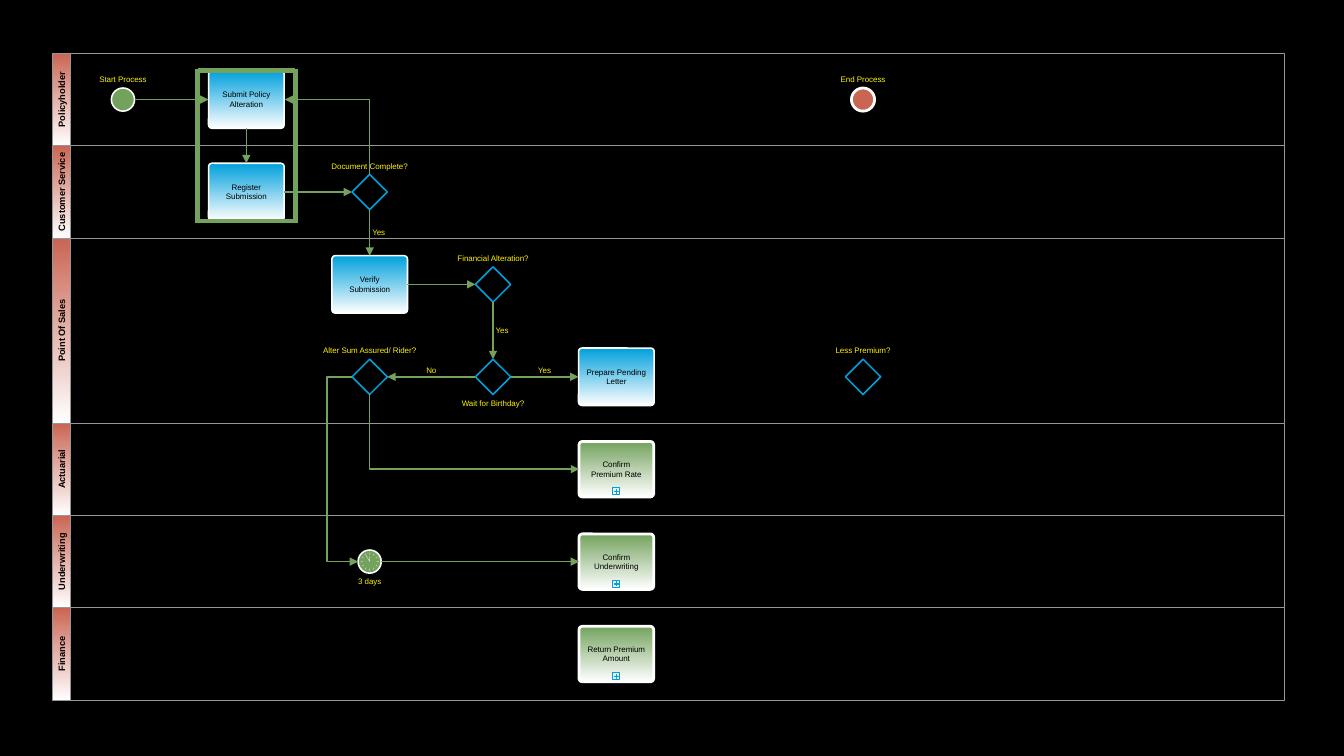
import math

import lxml.etree
import pptx
import pptx.dml.color
import pptx.enum.shapes
import pptx.enum.text
import pptx.oxml.ns
import pptx.util

Inches = pptx.util.Inches
SHAPE = pptx.enum.shapes.MSO_SHAPE
CONNECTOR = pptx.enum.shapes.MSO_CONNECTOR
qn = pptx.oxml.ns.qn

BLACK, WHITE, GREY, SILVER = "000000", "FFFFFF", "969696", "DCDCDC"
GREEN, RED, BLUE, YELLOW = "73A25D", "CA6553", "00A0DC", "FEF109"
TOP, LEFT, BOTTOM, RIGHT = range(4)
POOL = (0.52, 0.53, 12.22, 6.41)
HEADER_WIDTH = 0.18
COLUMN_PITCH = 7.34 / 6
ROW_PITCH = 5.5 / 6
DIAMOND_SIZE, EVENT_SIZE = 0.35, 0.23

LANES = [("Policyholder", 1), ("Customer Service", 1), ("Point Of Sales", 2),
         ("Actuarial", 1), ("Underwriting", 1), ("Finance", 1)]
TASKS = [("Submit Policy Alteration", 1, 0), ("Register Submission", 1, 1),
         ("Verify Submission", 2, 2), ("Prepare Pending Letter", 4, 3)]
SUBPROCESSES = [("Confirm Premium Rate", 4, 4), ("Confirm Underwriting", 4, 5),
                ("Return Premium Amount", 4, 6)]
DECISIONS = [("Document Complete?", 2, 1, -1), ("Financial Alteration?", 3, 2, -1),
             ("Wait for Birthday?", 3, 3, 1), ("Less Premium?", 6, 3, -1),
             ("Alter Sum Assured/ Rider?", 2, 3, -1)]
EVENTS = [("Start Process", 0, 0, -1, GREEN, 1.1), ("End Process", 6, 0, -1, RED, 1.98),
          ("3 days", 2, 5, 1, GREEN, 1.1)]
FLOWS = [("Submit Policy Alteration", BOTTOM, "Register Submission", TOP, ""),
         ("Register Submission", RIGHT, "Document Complete?", LEFT, ""),
         ("Document Complete?", BOTTOM, "Verify Submission", TOP, "Yes"),
         ("Verify Submission", RIGHT, "Financial Alteration?", LEFT, ""),
         ("Financial Alteration?", BOTTOM, "Wait for Birthday?", TOP, "Yes"),
         ("Wait for Birthday?", RIGHT, "Prepare Pending Letter", LEFT, "Yes"),
         ("Wait for Birthday?", LEFT, "Alter Sum Assured/ Rider?", RIGHT, "No")]


def rgb(value):
    """Return the colour for a hex string."""
    return pptx.dml.color.RGBColor.from_string(value)


def center(column, row):
    """Return the middle of a grid cell in the pool."""
    return POOL[0] + 0.7 + column * COLUMN_PITCH, POOL[1] + (row + 0.5) * ROW_PITCH


def add_box(slide, kind, box, fill=None, line=None, weight=0.55, fade=False):
    """Add a preset shape, plain, filled or fading down to white."""
    shape = slide.shapes.add_shape(kind, *map(Inches, box))
    shape.shadow.inherit = False
    if fade:
        shape.fill.gradient()
        shape.fill.gradient_angle = 270
        for stop, color in zip(shape.fill.gradient_stops, (fill, WHITE)):
            stop.color.rgb = rgb(color)
    elif fill:
        shape.fill.solid()
        shape.fill.fore_color.rgb = rgb(fill)
    else:
        shape.fill.background()
    if line:
        shape.line.color.rgb = rgb(line)
        shape.line.width = pptx.util.Pt(weight)
    else:
        shape.line.fill.background()
    return shape


def add_centered(slide, kind, x, y, width, height, **style):
    """Add a preset shape around a middle point."""
    return add_box(slide, kind, (x - width / 2, y - height / 2, width, height), **style)


def write(shape, text, color=BLACK, size=5.7, bold=False, wrap=True):
    """Put one centred run of text in a shape."""
    frame = shape.text_frame
    frame.word_wrap = wrap
    frame.vertical_anchor = pptx.enum.text.MSO_ANCHOR.MIDDLE
    frame.margin_left = frame.margin_right = Inches(0.07)
    frame.margin_top = frame.margin_bottom = 0
    paragraph = frame.paragraphs[0]
    paragraph.alignment = pptx.enum.text.PP_ALIGN.CENTER
    run = paragraph.add_run()
    run.text = text
    run.font.name = "Arial"
    run.font.size = pptx.util.Pt(size)
    run.font.bold = bold
    run.font.color.rgb = rgb(color)


def add_label(slide, text, x, y):
    """Add a yellow one-line caption around a middle point."""
    width, height = 0.25 + 0.04 * len(text), 0.11
    label = slide.shapes.add_textbox(
        *map(Inches, (x - width / 2, y - height / 2, width, height)))
    write(label, text, YELLOW, wrap=False)


def add_line(slide, begin, end, kind=CONNECTOR.STRAIGHT, weight=1.1, arrow=True):
    """Add a green connector, with an arrowhead at its end if wanted."""
    connector = slide.shapes.add_connector(kind, *map(Inches, (*begin, *end)))
    connector.line.color.rgb = rgb(GREEN)
    connector.line.width = pptx.util.Pt(weight)
    properties = connector.element.spPr
    if arrow:
        lxml.etree.SubElement(properties.find(qn("a:ln")), qn("a:tailEnd"), type="triangle")
    lxml.etree.SubElement(properties, qn("a:effectLst"))
    return connector


def add_corner(slide, begin, end):
    """Add an arrow that runs vertically and then turns once."""
    x, y = (begin[0] + end[0]) / 2, (begin[1] + end[1]) / 2
    turned = [(x - (point[1] - y), y + point[0] - x) for point in (begin, end)]
    properties = add_line(slide, *turned, kind=CONNECTOR.ELBOW).element.spPr
    properties.find(qn("a:xfrm")).set("rot", "16200000")
    properties.find(qn("a:prstGeom")).set("prst", "bentConnector2")


def add_detour(slide, begin, end, turn_x):
    """Add an arrow that goes out to turn_x, down and back in."""
    connector = add_line(slide, begin, end, kind=CONNECTOR.ELBOW)
    adjustments = connector.element.spPr.find(qn("a:prstGeom")).get_or_add_avLst()
    share = round((turn_x - begin[0]) / (end[0] - begin[0]) * 100000)
    lxml.etree.SubElement(adjustments, qn("a:gd"), name="adj1", fmla=f"val {share}")


def add_lane(slide, box, name):
    """Draw a lane with its upright header."""
    left, top, width, height = box
    add_box(slide, SHAPE.RECTANGLE,
            (left + HEADER_WIDTH, top, width - HEADER_WIDTH, height), line=GREY)
    header = add_box(slide, SHAPE.RECTANGLE, (left, top, HEADER_WIDTH, height),
                     RED, GREY, fade=True)
    write(header, name, size=6.6, bold=True)
    header.element.find(qn("p:txBody")).find(qn("a:bodyPr")).set("vert", "vert270")


def add_task(slide, name, x, y, width=0.75, height=0.57, color=BLUE, weight=1.1):
    """Draw an activity box."""
    task = add_centered(slide, SHAPE.ROUNDED_RECTANGLE, x, y, width, height,
                        fill=color, line=WHITE, weight=weight, fade=True)
    task.adjustments[0] = 0.06
    write(task, name)
    return task


def add_subprocess(slide, name, x, y):
    """Draw a green activity box with its plus marker."""
    task = add_task(slide, name, x, y, 0.74, 0.55, GREEN, 1.98)
    add_centered(slide, SHAPE.RECTANGLE, x, y + 0.22, 0.07, 0.07, line=BLUE)
    plus = add_centered(slide, SHAPE.CROSS, x, y + 0.22, 0.04, 0.04, fill=BLUE, line=BLUE)
    plus.adjustments[0] = 0.45
    return task


def add_clock(slide, x, y):
    """Draw the ticks and hands of a clock face as one outline."""
    strokes = [(0.07, 0.09, hour) for hour in range(12)] + [(0, 0.05, 0), (0, 0.07, 11)]
    builder = None
    for inner, outer, hour in strokes:
        angle = math.radians(30 * hour)
        corners = [(Inches(x + radius * math.sin(angle) + side * math.cos(angle)),
                    Inches(y - radius * math.cos(angle) + side * math.sin(angle)))
                   for radius, side in ((inner, -0.002), (outer, -0.002),
                                        (outer, 0.002), (inner, 0.002))]
        if builder:
            builder.move_to(*corners[0])
        else:
            builder = slide.shapes.build_freeform(*corners[0])
        builder.add_line_segments(corners[1:])
    clock = builder.convert_to_shape()
    clock.shadow.inherit = False
    clock.fill.solid()
    clock.fill.fore_color.rgb = rgb(SILVER)
    clock.line.fill.background()


def add_flow(slide, source, source_side, target, target_side, text):
    """Join two shapes with a straight arrow and an optional caption."""
    arrow = add_line(slide, (0, 0), (0, 0))
    arrow.begin_connect(source, source_side)
    arrow.end_connect(target, target_side)
    if text:
        shift = (0.09, 0) if source_side == BOTTOM else (0, -0.06)
        add_label(slide, text, (arrow.begin_x + arrow.end_x) / 2 / Inches(1) + shift[0],
                  (arrow.begin_y + arrow.end_y) / 2 / Inches(1) + shift[1])


def add_highlight(slide, box):
    """Frame a group of shapes with four heavy lines."""
    left, top, width, height = box
    right, bottom, overlap = left + width, top + height, 0.02
    for y in (top, bottom):
        add_line(slide, (left, y), (right, y), weight=3, arrow=False)
    for x in (left, right):
        add_line(slide, (x, top - overlap), (x, bottom + overlap), weight=3, arrow=False)


def add_process(slide):
    """Draw the lanes, the nodes and the flows between them."""
    row = 0
    for name, span in LANES:
        add_lane(slide, (POOL[0], POOL[1] + row * ROW_PITCH, POOL[2], span * ROW_PITCH), name)
        row += span
    nodes = {name: add_task(slide, name, *center(*cell)) for name, *cell in TASKS}
    nodes.update((name, add_subprocess(slide, name, *center(*cell)))
                 for name, *cell in SUBPROCESSES)
    for name, column, row, side in DECISIONS:
        x, y = center(column, row)
        nodes[name] = add_centered(slide, SHAPE.DIAMOND, x, y, DIAMOND_SIZE, DIAMOND_SIZE,
                                   line=BLUE, weight=1.1)
        add_label(slide, name, x, y + side * 0.26)
    for name, column, row, side, color, weight in EVENTS:
        x, y = center(column, row)
        add_centered(slide, SHAPE.OVAL, x, y, EVENT_SIZE, EVENT_SIZE,
                     fill=color, line=WHITE, weight=weight)
        add_label(slide, name, x, y + side * 0.2)
    add_clock(slide, *center(2, 5))
    for source, source_side, target, target_side, text in FLOWS:
        add_flow(slide, nodes[source], source_side, nodes[target], target_side, text)
    for cell, target in (((0, 0), "Submit Policy Alteration"), ((2, 5), "Confirm Underwriting")):
        x, y = center(*cell)
        arrow = add_line(slide, (x + EVENT_SIZE / 2, y), (x + 1, y))
        arrow.end_connect(nodes[target], LEFT)
    half = DIAMOND_SIZE / 2
    (x, y), (task_x, task_y) = center(2, 1), center(1, 0)
    add_corner(slide, (x, y - half), (task_x + 0.38, task_y))
    (x, y), (task_x, task_y) = center(2, 3), center(4, 4)
    add_corner(slide, (x, y + half), (task_x - 0.37, task_y))
    add_detour(slide, (x - half, y), (x - EVENT_SIZE / 2, center(2, 5)[1]), 3.24)
    add_highlight(slide, (1.96, 0.7, 0.97, 1.49))


def main():
    """Build the slide and save it."""
    presentation = pptx.Presentation()
    presentation.slide_width, presentation.slide_height = Inches(13.33), Inches(7.5)
    slide = presentation.slides.add_slide(presentation.slide_layouts[6])
    slide.background.fill.solid()
    slide.background.fill.fore_color.rgb = rgb(BLACK)
    add_process(slide)
    presentation.save("out.pptx")


if __name__ == "__main__":
    main()
